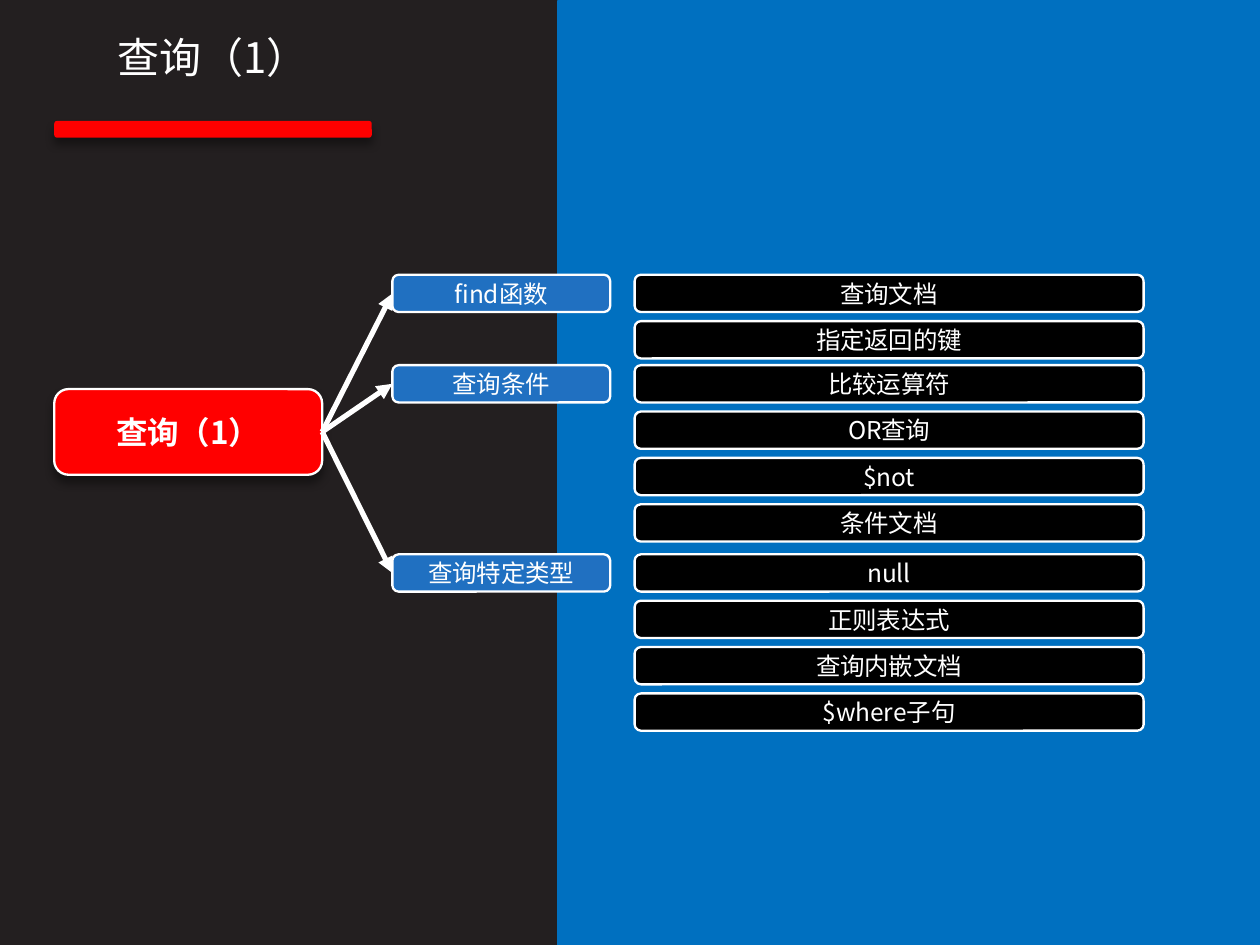
"""Draw a mind map of the first part of the query chapter."""
import dataclasses
import typing

import pptx
import pptx.dml.color
import pptx.enum.shapes
import pptx.enum.text
import pptx.oxml
import pptx.oxml.ns
import pptx.util

COLS, ROWS = 75, 56.25
UNIT = pptx.util.Inches(0.1)
FONT = "Noto Sans CJK SC"
HUES = {
    "dark": "231F20",
    "red": "FF0000",
    "panel": "0070C0",
    "blue": "2070C1",
    "black": "000000",
    "white": "FFFFFF",
}
TITLE = "查询（1）"
KIND = pptx.enum.shapes.MSO_SHAPE
NS = pptx.oxml.ns.nsdecls("a")


@dataclasses.dataclass
class Box:
    left: float
    top: float
    width: float
    height: float

    def place(self) -> list[int]:
        return [round(n * UNIT) for n in (self.left, self.top, self.width, self.height)]


@dataclasses.dataclass
class Branch:
    top: float
    name: str
    leaves: list[str]


BRANCHES = [
    Branch(16.36, "find函数", ["查询文档", "指定返回的键"]),
    Branch(21.74, "查询条件", ["比较运算符", "OR查询", "$not", "条件文档"]),
    Branch(33.0, "查询特定类型", ["null", "正则表达式", "查询内嵌文档", "$where子句"]),
]
HIGH, STEP = 2.22, 2.76


def hue(name: str) -> pptx.dml.color.RGBColor:
    return pptx.dml.color.RGBColor.from_string(HUES[name])


def write(shape: typing.Any, text: str, size: float = 10.5, bold: bool = False,
          anchor: typing.Any = pptx.enum.text.MSO_ANCHOR.MIDDLE) -> None:
    frame = shape.text_frame
    frame.word_wrap = True
    frame.auto_size = pptx.enum.text.MSO_AUTO_SIZE.NONE
    frame.vertical_anchor = anchor
    para = frame.paragraphs[0]
    para.alignment = pptx.enum.text.PP_ALIGN.CENTER
    run = para.add_run()
    run.text = text
    font = run.font
    font.size, font.bold, font.name = pptx.util.Pt(size), bold, FONT
    font.color.rgb = hue("white")
    run._r.rPr.append(pptx.oxml.parse_xml(f'<a:ea {NS} typeface="{FONT}"/>'))


def block(slide: typing.Any, box: Box, fill: str, line: str | None = "white",
          weight: float = 1, kind: typing.Any = KIND.ROUNDED_RECTANGLE,
          shade: bool = False) -> typing.Any:
    shape = slide.shapes.add_shape(kind, *box.place())
    shape.fill.solid()
    shape.fill.fore_color.rgb = hue(fill)
    if line:
        shape.line.color.rgb = hue(line)
        shape.line.width = pptx.util.Pt(weight)
    else:
        shape.line.fill.background()
    shape.shadow.inherit = False
    if shade:
        blur, drop = pptx.util.Pt(4), pptx.util.Pt(3)
        shape._element.spPr.find(pptx.oxml.ns.qn("a:effectLst")).append(
            pptx.oxml.parse_xml(
                f'<a:outerShdw {NS} blurRad="{blur}" dist="{drop}" dir="5400000" '
                f'rotWithShape="0"><a:srgbClr val="{HUES["black"]}">'
                '<a:alpha val="40000"/></a:srgbClr></a:outerShdw>'))
    return shape


def arrow(slide: typing.Any, start: typing.Any, end: typing.Any) -> None:
    link = slide.shapes.add_connector(
        pptx.enum.shapes.MSO_CONNECTOR.STRAIGHT, 0, 0, 0, 0)
    link.begin_connect(start, 3)
    link.end_connect(end, 1)
    link.line.color.rgb = hue("white")
    link.line.width = pptx.util.Pt(2.25)
    link.line._ln.append(pptx.oxml.parse_xml(f'<a:tailEnd {NS} type="triangle"/>'))
    link._element.spPr.append(pptx.oxml.parse_xml(f"<a:effectLst {NS}/>"))


def main() -> None:
    deck = pptx.Presentation()
    deck.slide_width, deck.slide_height = round(COLS * UNIT), round(ROWS * UNIT)
    slide = deck.slides.add_slide(deck.slide_layouts[5])
    slide.background.fill.solid()
    slide.background.fill.fore_color.rgb = hue("dark")

    head = slide.shapes.title
    head.left, head.top, head.width, head.height = Box(2.65, 1.4, 20.1, 5.5).place()
    write(head, TITLE, size=18, anchor=pptx.enum.text.MSO_ANCHOR.TOP)

    block(slide, Box(3.23, 7.2, 18.9, 1), "red", line=None, shade=True)
    block(slide, Box(33.36, 0.1, 41.6, 56.1), "panel", line="panel", weight=3,
          kind=KIND.RECTANGLE)
    root = block(slide, Box(3.23, 23.16, 15.95, 5.1), "red", shade=True)
    write(root, TITLE, size=13.5, bold=True)

    for branch in BRANCHES:
        node = block(slide, Box(23.36, branch.top, 12.97, HIGH), "blue")
        write(node, branch.name)
        arrow(slide, root, node)
        for i, leaf in enumerate(branch.leaves):
            cell = Box(37.78, branch.top + i * STEP, 30.3, HIGH)
            write(block(slide, cell, "black"), leaf)

    deck.save("out.pptx")


if __name__ == "__main__":
    main()
